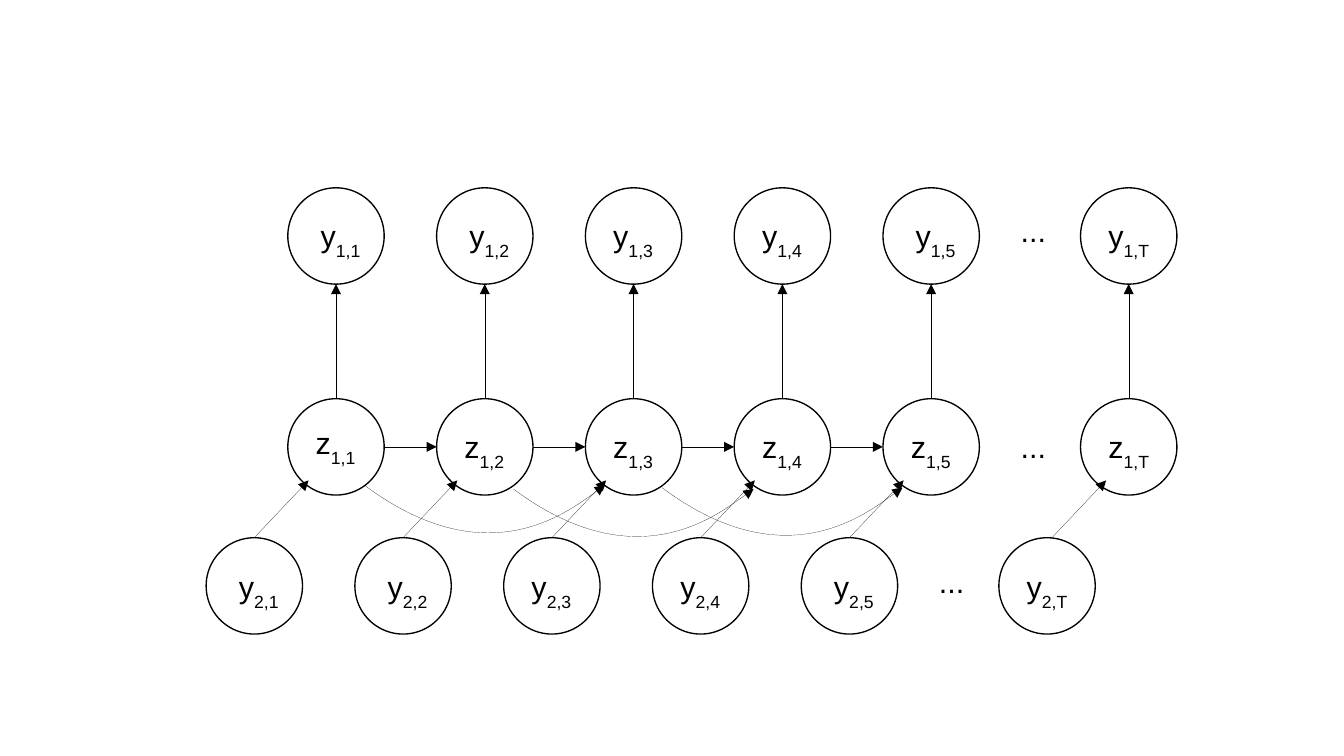
"""Build a slide with a two-layer latent chain and its observed nodes."""
import pptx
import pptx.dml.color
import pptx.enum.shapes
import pptx.enum.text
import pptx.oxml
import pptx.oxml.ns
import pptx.util
from lxml import etree

Inches = pptx.util.Inches
BLACK = "000000"
DIAMETER = 0.79
RADIUS = DIAMETER / 2
COLUMNS = [2.36 + 1.22 * step for step in range(5)] + [8.86]
STEPS = ["1", "2", "3", "4", "5", "T"]
Y1_TOP, Z_TOP, Y2_TOP = 1.54, 3.27, 4.41
Y2_SHIFT = -0.67
Y_LABEL_INSETS = [0.17, 0.17, 0.13, 0.13, 0.17, 0.13]
Z_LABEL_INSETS = [0.13] * 6

presentation = pptx.Presentation()
presentation.slide_width = Inches(11.02)
presentation.slide_height = Inches(6.2)
slide = presentation.slides.add_slide(presentation.slide_layouts[6])


def color(value):
    return pptx.dml.color.RGBColor.from_string(value)


def style_arrow(shape):
    shape.line.color.rgb = color(BLACK)
    properties = shape._element.spPr
    line = properties.find(pptx.oxml.ns.qn("a:ln"))
    line.set("w", "0")
    etree.SubElement(line, pptx.oxml.ns.qn("a:tailEnd"), type="triangle")
    if properties.find(pptx.oxml.ns.qn("a:effectLst")) is None:
        etree.SubElement(properties, pptx.oxml.ns.qn("a:effectLst"))


labels = [("...", "", 8.27, 1.69), ("...", "", 8.27, 3.46), ("...", "", 7.6, 4.57)]
rows = [
    ("y", "1", Y1_TOP, 0, Y_LABEL_INSETS, 0.19),
    ("z", "1", Z_TOP, 0, Z_LABEL_INSETS, 0.19),
    ("y", "2", Y2_TOP, Y2_SHIFT, Y_LABEL_INSETS, 0.2),
]
for letter, series, top, shift, insets, drop in rows:
    for column, step, inset in zip(COLUMNS, STEPS, insets):
        left = column + shift
        circle = slide.shapes.add_shape(
            pptx.enum.shapes.MSO_SHAPE.OVAL,
            Inches(left), Inches(top), Inches(DIAMETER), Inches(DIAMETER))
        circle.shadow.inherit = False
        circle.fill.background()
        circle.line.color.rgb = color(BLACK)
        circle.line.width = pptx.util.Pt(0.79)
        lift = 0.03 if (letter, step) == ("z", "1") else 0
        labels.append((letter, f"{series},{step}", left + inset, top + drop - lift))

arrows = []
for column, step in zip(COLUMNS, STEPS):
    center = column + RADIUS
    nudge = 0.04 if step == "T" else 0
    arrows.append((center, Z_TOP, center, Y1_TOP + DIAMETER))
    arrows.append((center + Y2_SHIFT + nudge, Y2_TOP, column + 0.17 + nudge, 3.94))
for start, end in zip(COLUMNS[:4], COLUMNS[1:5]):
    arrows.append((start + DIAMETER, Z_TOP + RADIUS, end, Z_TOP + RADIUS))
for ends in arrows:
    arrow = slide.shapes.add_connector(
        pptx.enum.shapes.MSO_CONNECTOR.STRAIGHT, *[Inches(value) for value in ends])
    style_arrow(arrow)

for column, top in zip(COLUMNS, [3.98, 4.01, 4.0]):
    left = column + 0.63
    builder = slide.shapes.build_freeform(Inches(left), Inches(top))
    builder.add_line_segments(
        [(Inches(left + 1), Inches(top + 0.35)), (Inches(left + 1.97), Inches(top))],
        close=False)
    curve = builder.convert_to_shape()
    curve.shadow.inherit = False
    curve.fill.background()
    outline = curve._element.spPr.find(".//" + pptx.oxml.ns.qn("a:path"))
    for segment in outline.findall(pptx.oxml.ns.qn("a:lnTo")):
        outline.remove(segment)
    bend = etree.SubElement(outline, pptx.oxml.ns.qn("a:cubicBezTo"))
    for across, down in [(1.03, 0.77), (1.97, 0), (1.97, 0)]:
        etree.SubElement(bend, pptx.oxml.ns.qn("a:pt"),
                         x=str(Inches(across)), y=str(Inches(down)))
    style_arrow(curve)

for text, subscript, left, top in labels:
    width, height = (0.6, 0.44) if subscript else (0.41, 0.38)
    box = slide.shapes.add_textbox(Inches(left), Inches(top), Inches(width), Inches(height))
    box.text_frame.word_wrap = False
    box.text_frame.auto_size = pptx.enum.text.MSO_AUTO_SIZE.SHAPE_TO_FIT_TEXT
    paragraph = box.text_frame.paragraphs[0]
    paragraph.font.name = "Arial"
    paragraph.font.size = pptx.util.Pt(18)
    paragraph.font.color.rgb = color(BLACK)
    paragraph.add_run().text = text
    if subscript:
        run = paragraph.add_run()
        run.text = subscript
        run._r.get_or_add_rPr().set("baseline", "-33000")

presentation.save("out.pptx")
